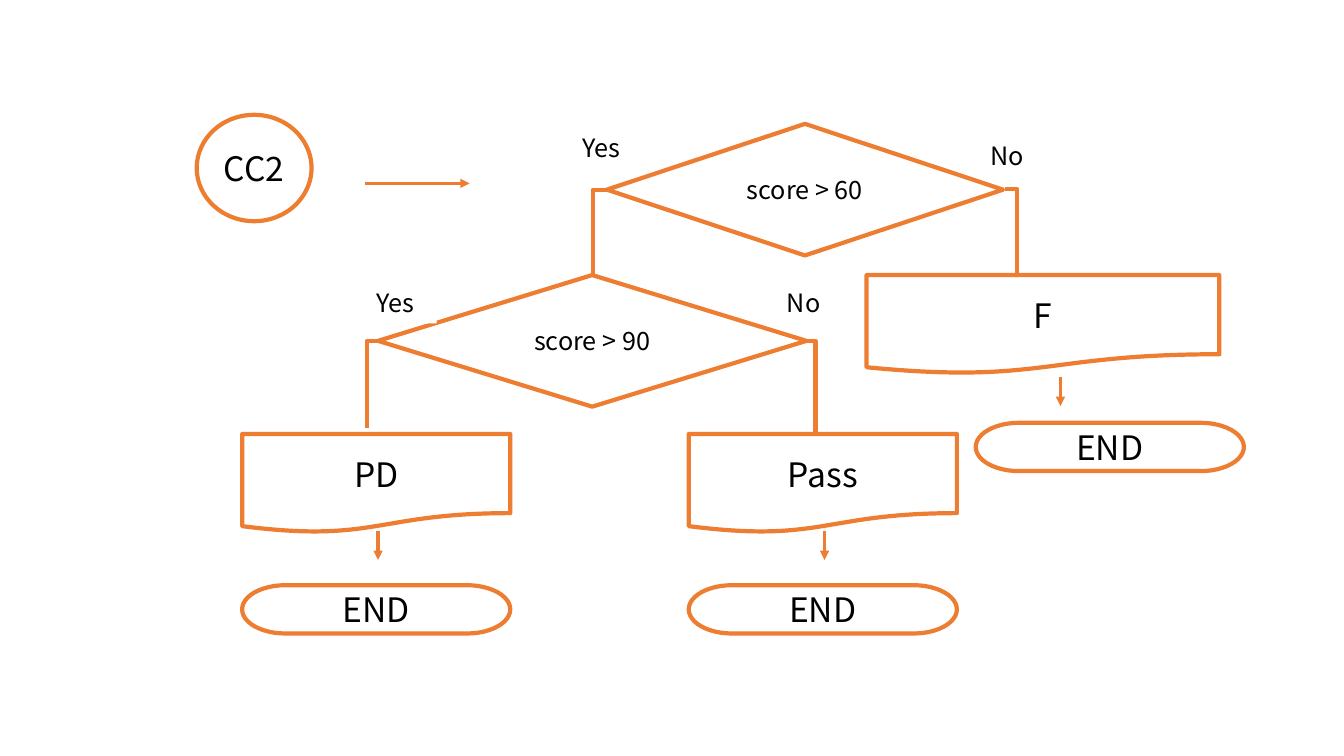
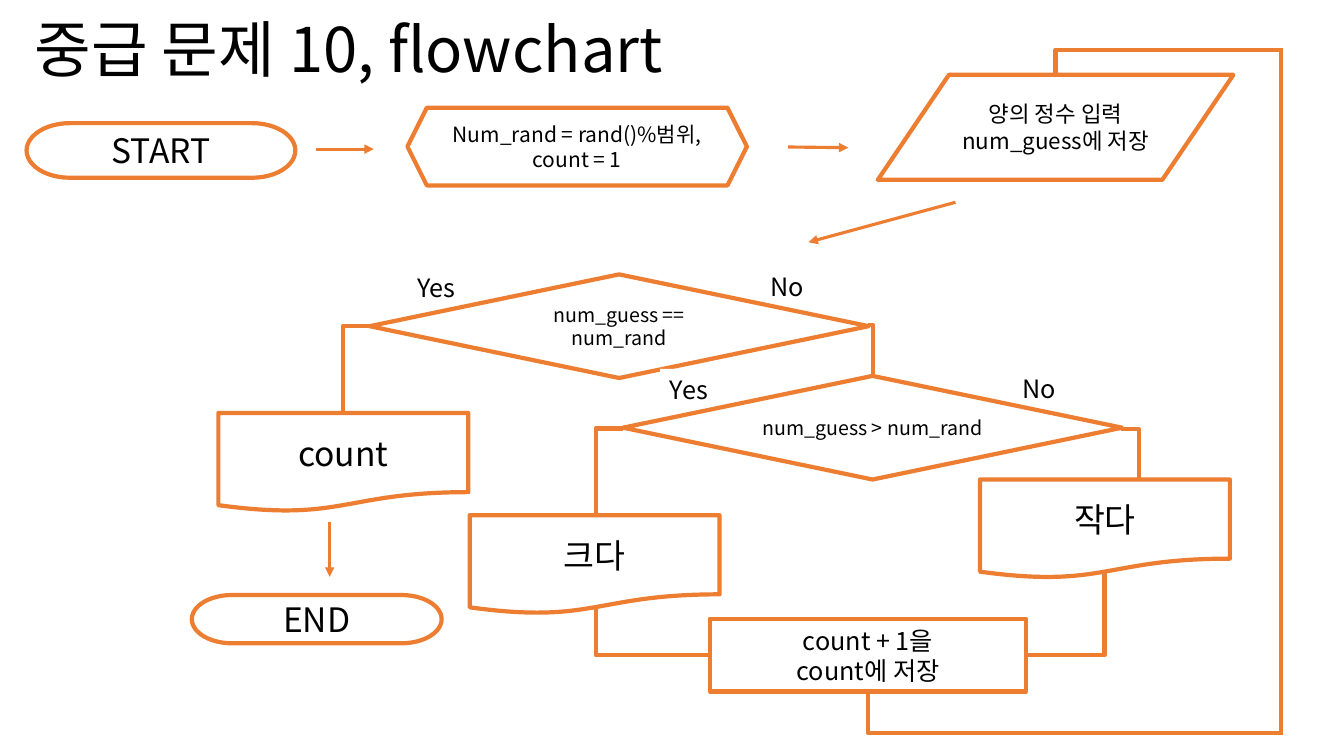
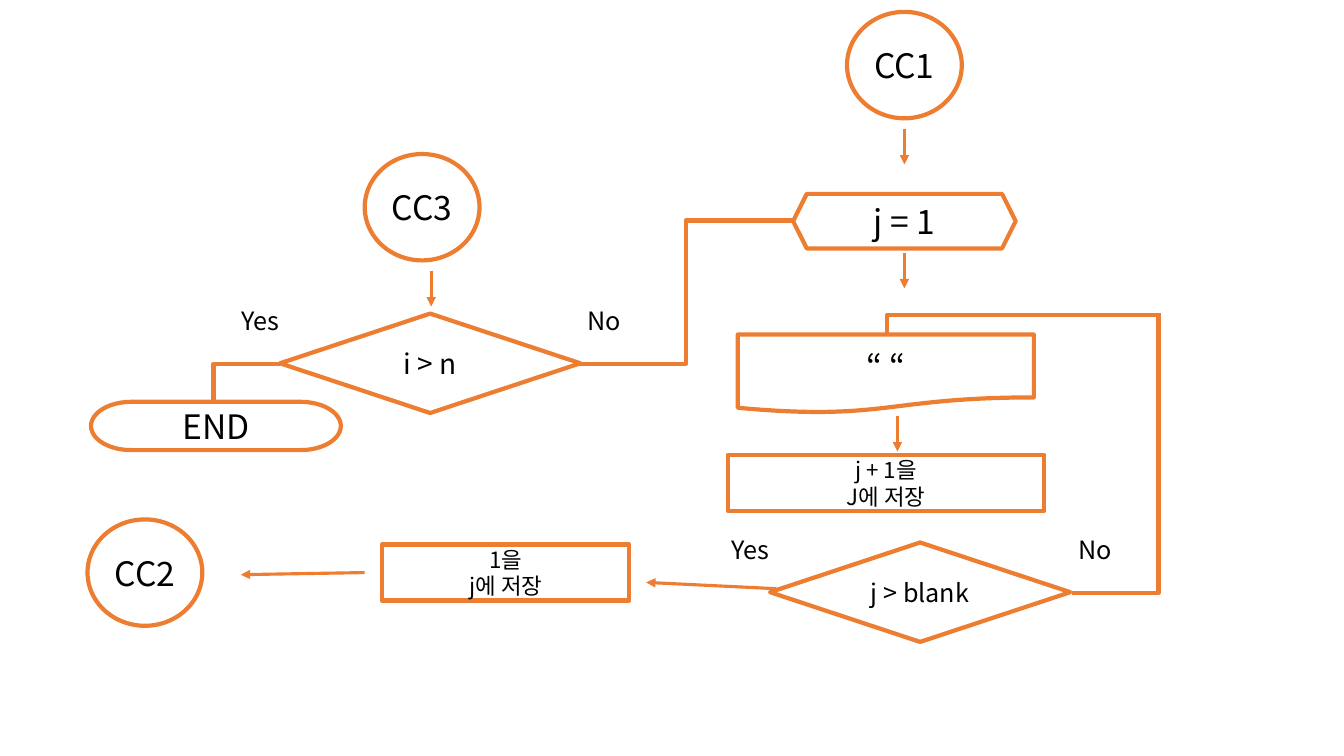
from pptx import Presentation
from pptx.dml.color import RGBColor
from pptx.enum.shapes import MSO_CONNECTOR, MSO_SHAPE
from pptx.enum.text import MSO_ANCHOR, MSO_AUTO_SIZE, PP_ALIGN
from pptx.oxml.ns import qn
from pptx.util import Pt
from lxml.etree import SubElement

COLORS = {"line": "ED7D31", "fill": "FFFFFF", "text": "000000"}
FONT = "Noto Sans CJK KR"


class Flowchart:
    """Hold the deck, its flowchart style and the current slide."""

    def __init__(self):
        self.deck = Presentation()
        self.deck.slide_width = Pt(960)
        self.deck.slide_height = Pt(540)
        self.page = None

    def color(self, name):
        return RGBColor.from_string(COLORS[name])

    def new_page(self, title=None):
        layout = self.deck.slide_layouts[5 if title else 6]
        self.page = self.deck.slides.add_slide(layout)
        if title:
            box = self.page.shapes.title
            self.place(box, 17.5, -14.5, 828, 104.5)
            self.set_text(box, title, 44, PP_ALIGN.LEFT, MSO_ANCHOR.MIDDLE)
            box.text_frame.auto_size = MSO_AUTO_SIZE.NONE
            box.text_frame.paragraphs[0].line_spacing = 0.9

    def place(self, box, left, top, width, height):
        box.left, box.top = Pt(left), Pt(top)
        box.width, box.height = Pt(width), Pt(height)

    def set_text(self, box, text, size, align, anchor):
        frame = box.text_frame
        frame.text = text
        frame.word_wrap = True
        frame.vertical_anchor = anchor
        for para in frame.paragraphs:
            para.alignment = align
            for span in para.runs:
                span.font.size = Pt(size)
                span.font.name = FONT
                span.font.color.rgb = self.color("text")
                SubElement(span.font._element, qn("a:ea"), typeface=FONT)

    def node(self, kind, text, left, top, width, height, size=24):
        box = self.page.shapes.add_shape(kind, Pt(left), Pt(top), Pt(width), Pt(height))
        box.shadow.inherit = False
        box.fill.solid()
        box.fill.fore_color.rgb = self.color("fill")
        box.line.color.rgb = self.color("line")
        box.line.width = Pt(3)
        self.set_text(box, text, size, PP_ALIGN.CENTER, MSO_ANCHOR.MIDDLE)

    def circle(self, text, left, top):
        self.node(MSO_SHAPE.OVAL, text, left, top, 82, 76)

    def decision(self, text, left, top, width, height, size=18):
        self.node(MSO_SHAPE.FLOWCHART_DECISION, text, left, top, width, height, size)

    def document(self, text, left, top, width=178.5, height=70.5):
        self.node(MSO_SHAPE.FLOWCHART_DOCUMENT, text, left, top, width, height)

    def terminator(self, text, left, top, width=178.5, height=34.5):
        self.node(MSO_SHAPE.FLOWCHART_TERMINATOR, text, left, top, width, height)

    def process(self, text, left, top, width, height, size=16):
        self.node(MSO_SHAPE.RECTANGLE, text, left, top, width, height, size)

    def preparation(self, text, left, top, width, height, size=24):
        self.node(MSO_SHAPE.HEXAGON, text, left, top, width, height, size)

    def label(self, text, left, top):
        box = self.page.shapes.add_textbox(Pt(left), Pt(top), Pt(50), Pt(29))
        box.fill.solid()
        box.fill.fore_color.rgb = self.color("fill")
        self.set_text(box, text, 18, PP_ALIGN.LEFT, MSO_ANCHOR.TOP)

    def line(self, start, end, kind=MSO_CONNECTOR.STRAIGHT, width=3):
        points = [Pt(value) for value in (*start, *end)]
        connector = self.page.shapes.add_connector(kind, *points)
        connector.line.color.rgb = self.color("line")
        connector.line.width = Pt(width)
        SubElement(connector._element.spPr, qn("a:effectLst"))
        return connector

    def arrow(self, start, end):
        connector = self.line(start, end, width=2.25)
        outline = connector._element.spPr.find(qn("a:ln"))
        SubElement(outline, qn("a:tailEnd"), type="triangle")

    def step(self, start, end):
        self.line(start, end, MSO_CONNECTOR.ELBOW)

    def corner(self, start, end):
        connector = self.line(start, end, MSO_CONNECTOR.ELBOW)
        geometry = connector._element.spPr.find(qn("a:prstGeom"))
        geometry.set("prst", "bentConnector2")


def draw_grades(chart):
    """Draw the grading branch."""
    chart.new_page()
    chart.decision("score > 90", 270, 196.5, 306, 94)
    chart.label("No", 555, 202)
    chart.label("Yes", 262, 202)
    chart.corner((270, 243.5), (262, 306))
    chart.corner((576, 243.5), (582.5, 310))
    chart.circle("CC2", 140.5, 82)
    chart.arrow((261, 131), (335.5, 131))
    for grade, left in (("Pass", 492), ("PD", 173)):
        chart.document(grade, left, 310, 191.5)
        chart.arrow((left + 97, 379), (left + 97, 400))
        chart.terminator("END", left, 418, 191.5)
    chart.label("Yes", 409, 91)
    chart.terminator("END", 697, 302, 191.5)
    chart.decision("score > 60", 433.5, 88.5, 283, 94)
    chart.corner((434, 135.5), (423.5, 198))
    chart.arrow((757.5, 269), (757.5, 290))
    chart.label("No", 700.5, 97)
    chart.corner((718, 135), (726.5, 201))
    chart.document("F", 619, 196.5, 252)


def draw_guessing(chart):
    """Draw the number guessing game."""
    chart.new_page("중급 문제 10, flowchart")
    chart.terminator("START", 19, 88, 192, 39)
    chart.arrow((226, 106.5), (267, 106.5))
    chart.node(MSO_SHAPE.FLOWCHART_DATA, "양의 정수 입력\nnum_guess에 저장", 627, 53.5, 254, 75, 16)
    chart.arrow((563, 105), (606, 105.5))
    chart.preparation("Num_rand = rand()%범위,\ncount = 1", 291, 77, 242.5, 55.5, 15)
    chart.arrow((682.5, 144.5), (577.5, 173))
    chart.label("Yes", 291, 191)
    chart.label("No", 543, 190)
    chart.corner((620, 232), (623.5, 268.5))
    chart.process("count + 1을\ncount에 저장", 507, 442, 226, 52, 18)
    chart.arrow((235.5, 373), (235.5, 412))
    chart.corner((445, 306), (425.5, 368))
    chart.document("작다", 700, 342.5)
    chart.terminator("END", 137, 425)
    chart.decision("num_guess == num_rand", 264, 196, 356.5, 74, 14)
    chart.label("Yes", 471.5, 263.5)
    chart.label("No", 723.5, 263)
    chart.corner((800.5, 306.5), (813.5, 342.5))
    chart.decision("num_guess > num_rand", 445, 268.5, 356.5, 74, 14)
    chart.document("크다", 335.5, 368)
    chart.corner((915, 523.5), (620, 494))
    chart.corner((507, 468), (425.5, 433.5))
    chart.corner((733, 468), (789, 408))
    chart.corner((915, 35.5), (754, 53.5))
    chart.line((915, 34), (915, 525))
    chart.corner((265, 233), (245, 295))
    chart.document("count", 156, 295)


def draw_blanks(chart):
    """Draw the loop that prints blanks."""
    chart.new_page()
    chart.preparation("j = 1", 566.5, 138.5, 159, 39)
    chart.arrow((646, 181), (646, 206))
    chart.process("j + 1을\nJ에 저장", 520, 325, 226, 40)
    chart.arrow((641, 297), (641, 322.5))
    chart.decision("j > blank", 550, 387.5, 214.5, 71)
    chart.label("Yes", 515.5, 378)
    chart.label("No", 763, 378)
    chart.corner((765.5, 423.5), (827.5, 223.5))
    chart.corner((827.5, 225), (633.5, 247))
    chart.arrow((554.5, 420.5), (461.5, 416))
    chart.circle("CC2", 62.5, 371)
    chart.arrow((260.5, 409), (172, 410.5))
    chart.document("“ “", 527, 239, 211.5, 56)
    chart.process("1을\nj에 저장", 273, 389, 176.5, 40)
    chart.circle("CC3", 260.5, 110)
    chart.decision("i > n", 200, 224, 214.5, 71, 20)
    chart.label("Yes", 165.5, 214.5)
    chart.label("No", 412.5, 214.5)
    chart.step((413.5, 260), (566.5, 157.5))
    chart.circle("CC1", 605, 8.5)
    chart.arrow((646, 92), (646, 117.5))
    chart.arrow((308, 193.5), (308, 219))
    chart.corner((200, 260), (152.5, 315))
    chart.terminator("END", 65, 287)


def main():
    """Build and save the deck."""
    chart = Flowchart()
    draw_grades(chart)
    draw_guessing(chart)
    draw_blanks(chart)
    chart.deck.save("out.pptx")


if __name__ == "__main__":
    main()
